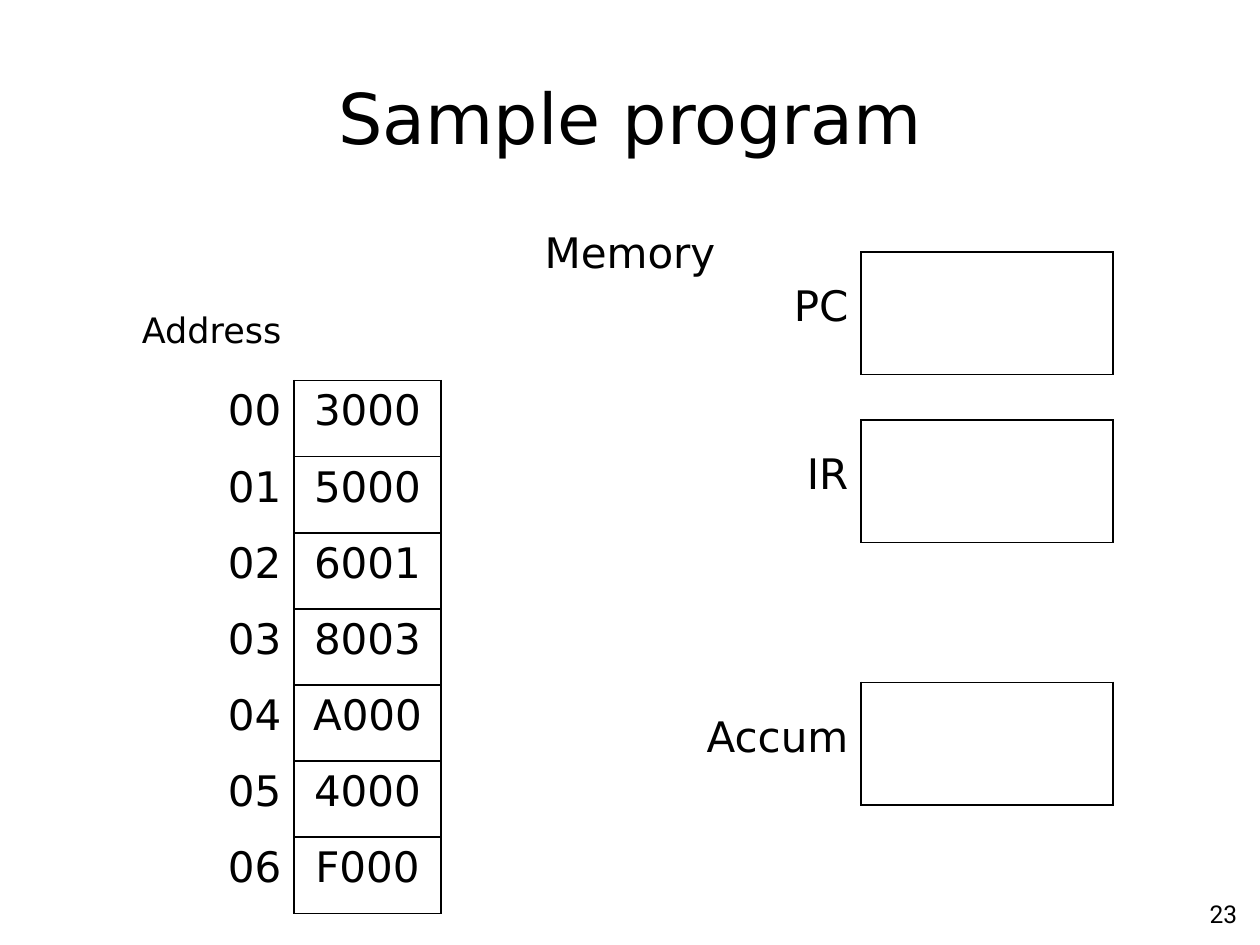
from pptx import Presentation
from pptx.dml.color import RGBColor
from pptx.enum import text
from pptx.oxml import parse_xml
from pptx.oxml.ns import nsdecls
from pptx.util import Pt

BLACK = "000000"
SANS = "DejaVu Sans"
NO_STYLE = "{2D5ABB26-0587-4C30-8999-92F81FD0307C}"
LEFT, CENTER, RIGHT = text.PP_ALIGN.LEFT, text.PP_ALIGN.CENTER, text.PP_ALIGN.RIGHT
TOP, MIDDLE = text.MSO_ANCHOR.TOP, text.MSO_ANCHOR.MIDDLE

LABELS = [
    ("Sample program", (36, 21.6, 648, 90), 40, SANS, CENTER, MIDDLE),
    ("Memory", (36, 126, 648, 390), 24, SANS, CENTER, TOP),
    ("23", (564, 510, 150, 26.5), 14, "Roboto", RIGHT, TOP),
]
MEMORY = [
    ("Address", ""),
    ("00", "3000"),
    ("01", "5000"),
    ("02", "6001"),
    ("03", "8003"),
    ("04", "A000"),
    ("05", "4000"),
    ("06", "F000"),
]
REGISTERS = [("PC", 144, 60), ("IR", 240, 60), ("Accum", 390, 114)]
REGISTER_LEFT, REGISTER_WIDTH, REGISTER_HEIGHT = 492, 144, 70


def color(value):
    return RGBColor.from_string(value)


def write(frame, words, size, font, align):
    para = frame.paragraphs[0]
    para.alignment = align
    if words:
        span = para.add_run()
        span.text = words
        span.font.size = Pt(size)
        span.font.name = font
        span.font.color.rgb = color(BLACK)


def add_label(page, words, place, size, font, align, anchor):
    box = page.shapes.add_textbox(*map(Pt, place))
    box.text_frame.word_wrap = True
    box.text_frame.vertical_anchor = anchor
    write(box.text_frame, words, size, font, align)


def set_borders(cell, sides):
    properties = cell._tc.get_or_add_tcPr()
    for index, side in enumerate(sides):
        properties.insert(index, parse_xml(
            f'<a:ln{side} {nsdecls("a")} w="{Pt(1)}"><a:solidFill>'
            f'<a:srgbClr val="{BLACK}"/></a:solidFill></a:ln{side}>'))


def add_grid(page, left, top, widths, row_height, rows):
    table = page.shapes.add_table(
        len(rows), len(widths), Pt(left), Pt(top),
        Pt(sum(widths)), Pt(row_height * len(rows))).table
    table.first_row = table.horz_banding = False
    table._tbl.tblPr.find("{*}tableStyleId").text = NO_STYLE
    for column, width in zip(table.columns, widths):
        column.width = Pt(width)
    for row, values in zip(table.rows, rows):
        row.height = Pt(row_height)
        for cell, words, align in zip(row.cells, values, (RIGHT, CENTER)):
            cell.fill.background()
            size = 20 if words == "Address" else 24
            write(cell.text_frame, words, size, SANS, align)
    return table


def main():
    deck = Presentation()
    deck.slide_width, deck.slide_height = Pt(720), Pt(540)
    page = deck.slides.add_slide(deck.slide_layouts[6])

    for label in LABELS:
        add_label(page, *label)

    memory = add_grid(page, 48, 174, (120, 84), 43.5, MEMORY)
    set_borders(memory.cell(0, 1), "B")
    for index in range(1, len(MEMORY)):
        set_borders(memory.cell(index, 1), "LRTB")

    for name, top, width in REGISTERS:
        register = add_grid(page, REGISTER_LEFT - width, top,
                            (width, REGISTER_WIDTH), REGISTER_HEIGHT, [(name, "")])
        register.cell(0, 0).margin_top = Pt(17.5)
        set_borders(register.cell(0, 1), "LRTB")

    deck.save("out.pptx")


if __name__ == "__main__":
    main()
